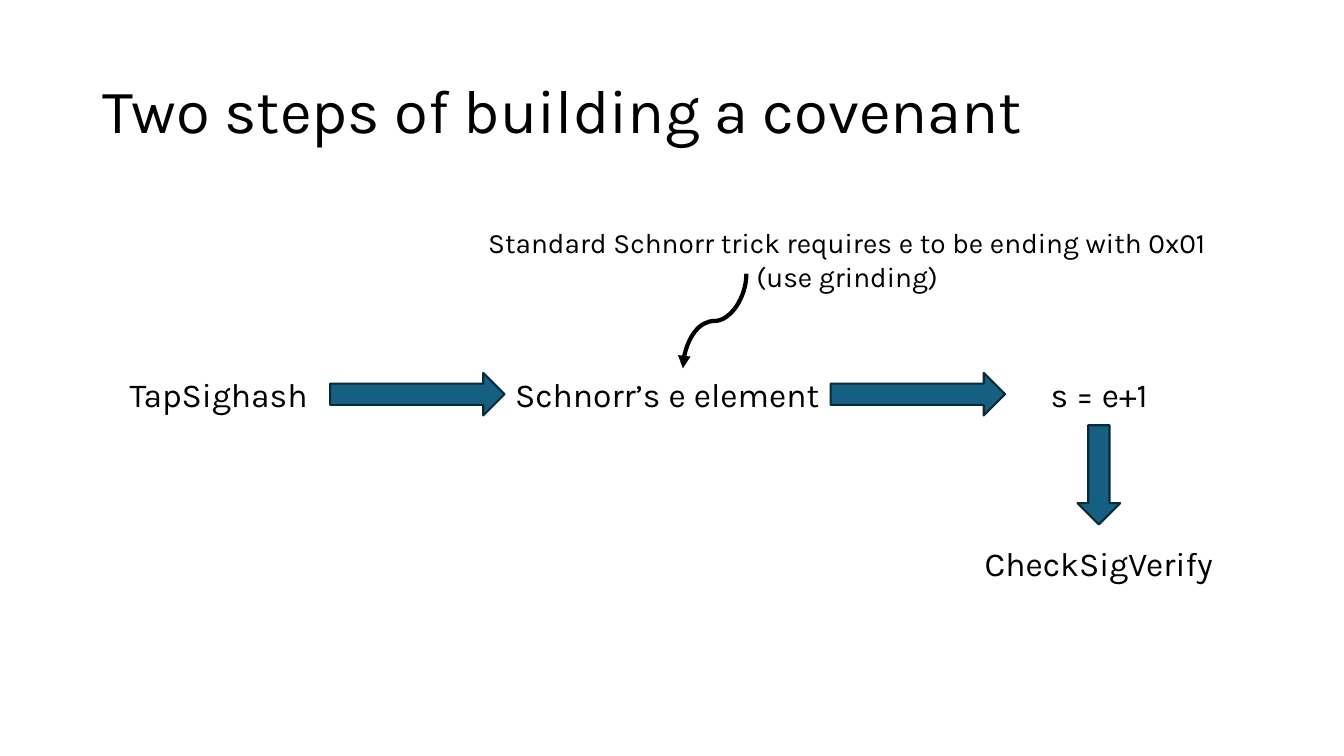
from lxml.etree import SubElement
from pptx import Presentation
from pptx.dml.color import RGBColor
from pptx.enum.shapes import MSO_CONNECTOR, MSO_SHAPE
from pptx.enum.text import MSO_ANCHOR, MSO_AUTO_SIZE, PP_ALIGN
from pptx.oxml.ns import qn
from pptx.util import Pt


def color(value):
    return RGBColor.from_string(value)


def write(frame, lines, size, alignment):
    frame.word_wrap = True
    frame.text = "\n".join(lines)
    for paragraph in frame.paragraphs:
        paragraph.alignment = alignment
        paragraph.font.name = "Karla"
        paragraph.font.size = Pt(size)
        paragraph.font.color.rgb = color("000000")


presentation = Presentation()
presentation.slide_width = Pt(960)
presentation.slide_height = Pt(540)
slide = presentation.slides.add_slide(presentation.slide_layouts[5])

title = slide.shapes.title
title.left, title.top, title.width, title.height = Pt(66), Pt(28.8), Pt(828), Pt(104.4)
write(title.text_frame, ["Two steps of building a covenant"], 44, PP_ALIGN.LEFT)
title.text_frame.vertical_anchor = MSO_ANCHOR.MIDDLE
title.text_frame.auto_size = MSO_AUTO_SIZE.NONE
title.text_frame.paragraphs[0].line_spacing = 0.9

step_top = 263.5
labels = [
    (["TapSighash"], 76.3, step_top, 159.8, 36.3, 24),
    (["Schnorr’s e element"], 360, step_top, 233.3, 36.3, 24),
    (["s = e+1"], 722.9, step_top, 124.6, 36.3, 24),
    (["CheckSigVerify"], 668.2, 384.5, 233.3, 36.3, 24),
    (["Standard Schnorr trick requires e to be ending with 0x01", "(use grinding)"],
     338.4, 157.7, 533.5, 55.7, 20),
]
for lines, left, top, width, height, size in labels:
    label = slide.shapes.add_textbox(Pt(left), Pt(top), Pt(width), Pt(height))
    write(label.text_frame, lines, size, PP_ALIGN.CENTER)
    label.text_frame.auto_size = MSO_AUTO_SIZE.SHAPE_TO_FIT_TEXT

arrows = [
    (235.8, 266.4, 124.6, 0),
    (593.3, 266.4, 124.6, 0),
    (749.5, 324, 70.8, 90),
]
for left, top, width, rotation in arrows:
    arrow = slide.shapes.add_shape(MSO_SHAPE.RIGHT_ARROW, Pt(left), Pt(top), Pt(width), Pt(30.4))
    arrow.rotation = rotation
    arrow.shadow.inherit = False
    arrow.fill.solid()
    arrow.fill.fore_color.rgb = color("156082")
    arrow.line.color.rgb = color("092A39")
    arrow.line.width = Pt(1.5)

curve = slide.shapes.add_connector(
    MSO_CONNECTOR.CURVE, Pt(476.6), Pt(206.6), Pt(544.3), Pt(252))
curve.line.color.rgb = color("000000")
curve.line.width = Pt(3)
properties = curve._element.spPr
properties.find(qn("a:xfrm")).set("rot", str(90 * 60000))
SubElement(properties.find(qn("a:ln")), qn("a:tailEnd"), type="triangle")
SubElement(properties, qn("a:effectLst"))

presentation.save("out.pptx")
